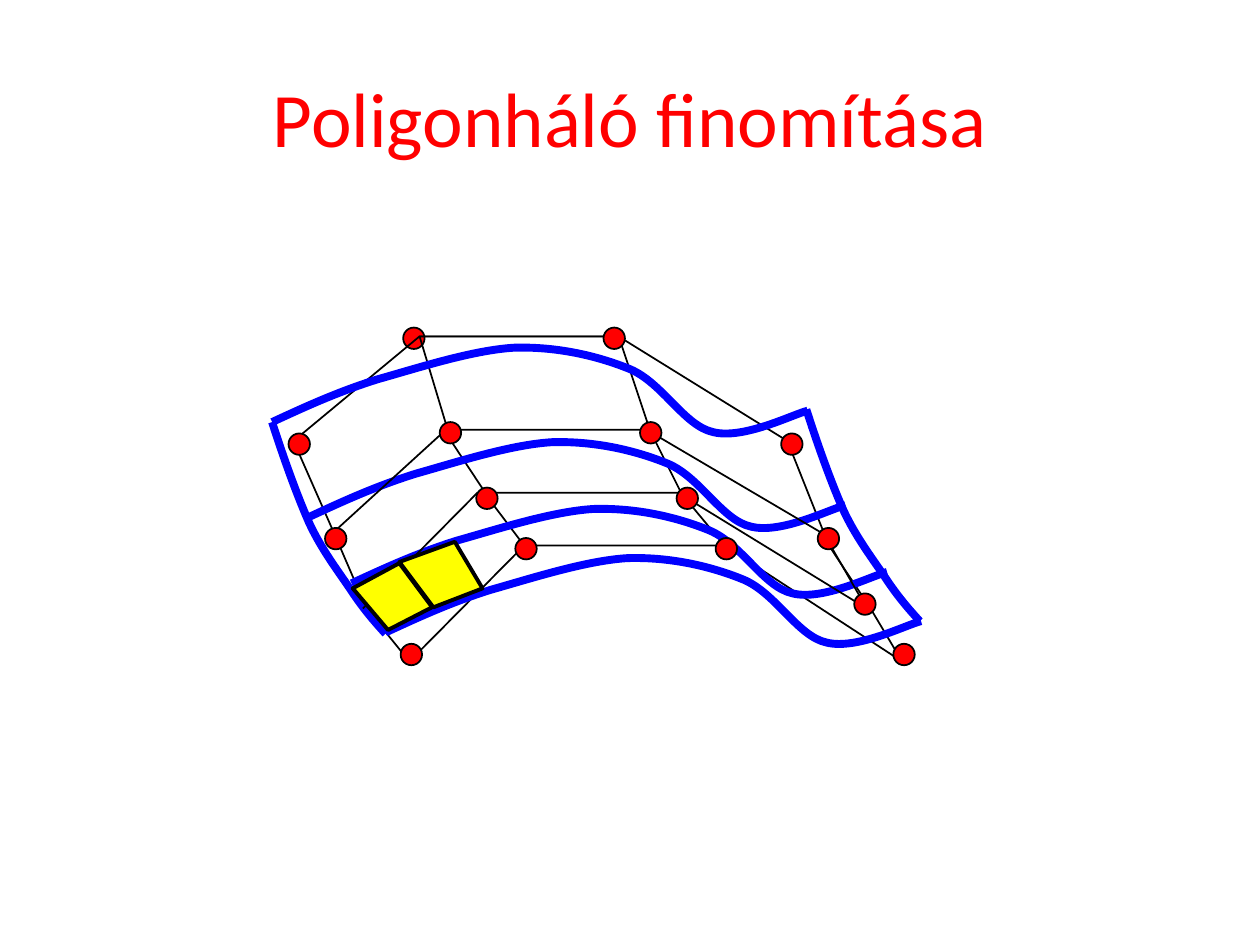
from lxml import etree
from pptx import Presentation
from pptx.dml.color import RGBColor
from pptx.enum.shapes import MSO_SHAPE
from pptx.enum.text import MSO_ANCHOR, PP_ALIGN
from pptx.oxml.ns import qn
from pptx.util import Pt

PX = 9144  # EMU in one px, 100 px to the inch
OVAL = MSO_SHAPE.OVAL
CENTER, MIDDLE = PP_ALIGN.CENTER, MSO_ANCHOR.MIDDLE
RED = RGBColor(255, 0, 0)
BLUE = RGBColor(0, 0, 255)
YELLOW = RGBColor(255, 255, 0)
BLACK = RGBColor(0, 0, 0)

TITLE = "Poligonháló finomítása"

# Control net
FRAME = [(233, 350), (333, 267), (491, 267), (625, 350), (658, 433), (691, 483),
         (716, 525), (575, 433), (416, 433), (325, 525), (291, 483), (266, 425)]
RIBS = [(575, 433), (541, 392), (516, 342), (491, 267), (333, 267),
        (358, 350), (391, 400), (416, 433)]
ROWS = [(263, 424), (354, 341), (513, 341), (654, 424), (688, 483),
        (538, 391), (379, 391), (288, 483)]

# Surface curves: Bezier points relative to the start of each curve
WAVE = [(0, 0), (26, -12), (52, -24), (84, -34), (116, -43), (159, -57), (192, -59),
        (225, -60), (257, -53), (284, -42), (310, -31), (327, 3), (350, 8),
        (374, 14), (413, -6), (425, -9)]
SIDE = [(0, 0), (9, 28), (19, 56), (29, 79), (39, 101), (53, 119), (63, 134),
        (73, 149), (81, 158), (90, 168)]
CURVES = [(WAVE, (279, 463)), (WAVE, (246, 410)), (WAVE, (216, 335)),
          (WAVE, (306, 502)), (SIDE, (640, 325)), (SIDE, (216, 335))]

PATCHES = [[(308, 500), (280, 467), (317, 447), (343, 482)],
           [(344, 482), (317, 446), (361, 430), (383, 467)]]

# Control points: the first row, then the shift of every row
DOT = 17
DOTS = [(229, 344), (320, 260), (479, 260), (620, 344)]
SHIFTS = [(0, 0), (29, 75), (58, 127), (89, 167)]
BACK = {(0, 1), (2, 0)}  # row and column of the dots behind the net


def shift(points, by):
    return [(x + by[0], y + by[1]) for x, y in points]


def style(shape, color, width, fill=None):
    shape.shadow.inherit = False
    shape.line.color.rgb = color
    shape.line.width = Pt(width)
    if fill is None:
        shape.fill.background()
    else:
        shape.fill.solid()
        shape.fill.fore_color.rgb = fill


def outline(shapes, points, close=False):
    pen = shapes.build_freeform(*points[0], scale=PX)
    pen.add_line_segments(points[1:], close=close)
    return pen.convert_to_shape()


def curve(shapes, points):
    """Draw a Bezier chain by merging each three line segments into one cubic."""
    shape = outline(shapes, points)
    track = shape._element.find(".//" + qn("a:path"))
    lines = track.findall(qn("a:lnTo"))
    for i in range(0, len(lines), 3):
        cubic = etree.SubElement(track, qn("a:cubicBezTo"))
        for line in lines[i:i + 3]:
            cubic.append(line[0])
            track.remove(line)
    return shape


def add_dots(shapes, behind):
    for row, by in enumerate(SHIFTS):
        for col, (x, y) in enumerate(shift(DOTS, by)):
            if ((row, col) in BACK) == behind:
                dot = shapes.add_shape(OVAL, x * PX, y * PX, DOT * PX, DOT * PX)
                style(dot, BLACK, 1, RED)


def add_title(shapes):
    box = shapes.add_textbox(50 * PX, 30 * PX, 900 * PX, 125 * PX)
    frame = box.text_frame
    frame.word_wrap = True
    frame.vertical_anchor = MIDDLE
    frame.text = TITLE
    para = frame.paragraphs[0]
    para.alignment = CENTER
    font = para.runs[0].font
    font.name, font.size = "Calibri", Pt(44)
    font.color.rgb = RED


def main():
    deck = Presentation()
    deck.slide_width, deck.slide_height = 1000 * PX, 750 * PX
    shapes = deck.slides.add_slide(deck.slide_layouts[6]).shapes

    add_dots(shapes, behind=True)
    style(outline(shapes, FRAME, close=True), BLACK, 1)
    style(outline(shapes, RIBS), BLACK, 1)
    for points, start in CURVES:
        style(curve(shapes, shift(points, start)), BLUE, 4.5)
    style(outline(shapes, ROWS), BLACK, 1)
    for patch in PATCHES:
        style(outline(shapes, patch, close=True), BLACK, 2.25, YELLOW)
    add_title(shapes)
    add_dots(shapes, behind=False)
    deck.save("out.pptx")


if __name__ == "__main__":
    main()
